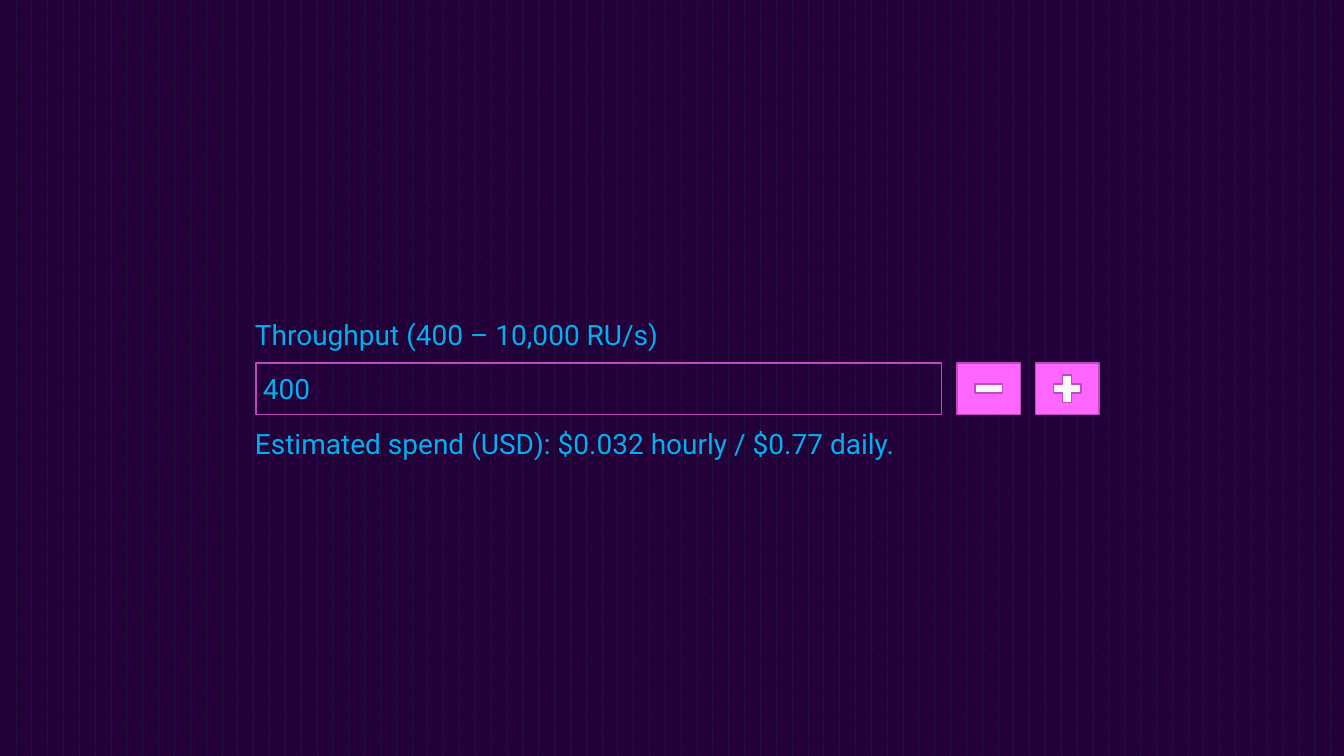
import pptx
import pptx.dml.color
import pptx.enum.dml
import pptx.enum.shapes
import pptx.enum.text
import pptx.util

Inches = pptx.util.Inches
SHAPES = pptx.enum.shapes.MSO_SHAPE
COLOURS = {
    "background": "23003A",
    "pattern": "201238",
    "text": "00B0F0",
    "button": "FF66FF",
    "outline": "BD4BBD",
    "symbol": "F8F8F8",
}
TEXT_FORMAT = {"name": "Roboto", "size": pptx.util.Pt(20)}
FRAME_FORMAT = {
    "word_wrap": False,
    "auto_size": pptx.enum.text.MSO_AUTO_SIZE.SHAPE_TO_FIT_TEXT,
}


def colour(name):
    return pptx.dml.color.RGBColor.from_string(COLOURS[name])


def set_background(page):
    fill = page.background.fill
    fill.patterned()
    fill.pattern = pptx.enum.dml.MSO_PATTERN.DIVOT
    fill.fore_color.rgb = colour("pattern")
    fill.back_color.rgb = colour("background")


def add_outlined(page, kind, box, fill=None):
    shape = page.shapes.add_shape(kind, *map(Inches, box))
    shape.shadow.inherit = False
    if fill:
        shape.fill.solid()
        shape.fill.fore_color.rgb = colour(fill)
    else:
        shape.fill.background()
    shape.line.color.rgb = colour("outline")
    shape.line.width = pptx.util.Pt(1)


def add_label(page, text, box):
    frame = page.shapes.add_textbox(*map(Inches, box)).text_frame
    for name, value in FRAME_FORMAT.items():
        setattr(frame, name, value)
    span = frame.paragraphs[0].add_run()
    span.text = text
    for name, value in TEXT_FORMAT.items():
        setattr(span.font, name, value)
    span.font.color.rgb = colour("text")


def add_button(page, symbol, box):
    left, top, width, height = box
    size = 0.37
    add_outlined(page, SHAPES.RECTANGLE, box, "button")
    symbol_box = (left + (width - size) / 2, top + (height - size) / 2, size, size)
    add_outlined(page, symbol, symbol_box, "symbol")


def add_throughput_control(page, box):
    left, top, width, height = box
    button_width, gap = 0.63, 0.15
    step = button_width + gap

    # Input field with its value
    add_outlined(page, SHAPES.RECTANGLE, (left, top, width - 2 * step, height))
    add_label(page, "400", (left - 0.03, top + 0.04, 0.68, 0.44))

    # Captions above and below the field
    add_label(page, "Throughput (400 – 10,000 RU/s)",
              (left - 0.11, top - 0.5, 4.24, 0.44))
    add_label(page, "Estimated spend (USD): $0.032 hourly / $0.77 daily.",
              (left - 0.11, top + 0.58, 6.61, 0.44))

    # Minus and plus buttons, aligned to the right edge
    for place, symbol in enumerate((SHAPES.MATH_MINUS, SHAPES.MATH_PLUS)):
        button_left = left + width - button_width - (1 - place) * step
        add_button(page, symbol, (button_left, top, button_width, height))


def main():
    deck = pptx.Presentation()
    deck.slide_width, deck.slide_height = Inches(13.33), Inches(7.5)
    page = deck.slides.add_slide(deck.slide_layouts[6])
    set_background(page)
    add_throughput_control(page, (2.54, 3.6, 8.36, 0.51))
    deck.save("out.pptx")


if __name__ == "__main__":
    main()
